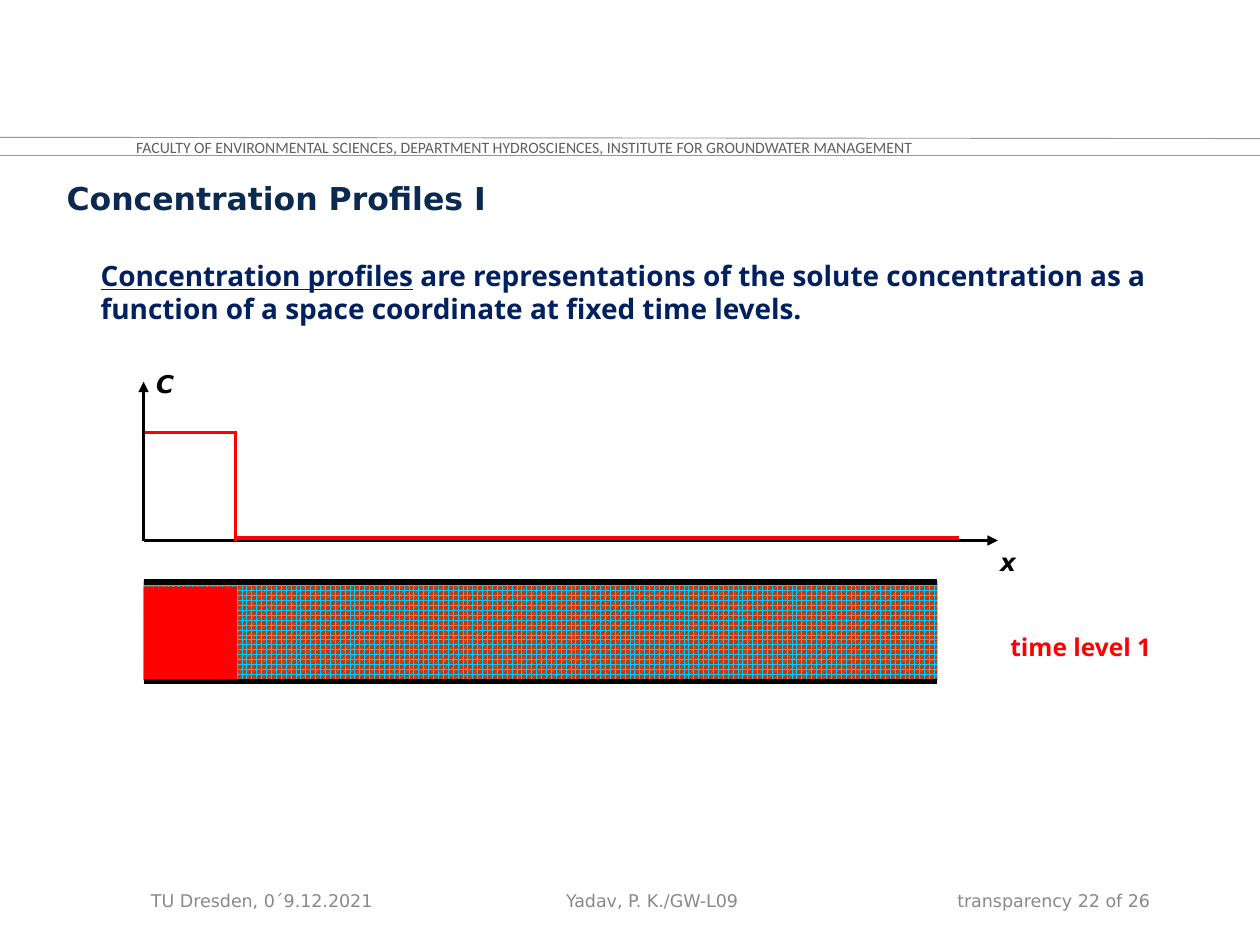
from lxml import etree
from pptx import Presentation
from pptx import util as u
from pptx.dml.color import RGBColor
from pptx.enum import dml, shapes, text
from pptx.oxml.ns import qn

BLACK = RGBColor(0, 0, 0)
RED = RGBColor(0xFF, 0, 0)
NAVY = RGBColor(0, 0x20, 0x60)
TITLE_BLUE = RGBColor(0x0B, 0x2A, 0x51)
RULE_GREY = RGBColor(0x96, 0x96, 0x96)
HEADER_GREY = RGBColor(0x60, 0x60, 0x60)
FOOTER_GREY = RGBColor(0x89, 0x89, 0x89)
CYAN = RGBColor(0, 0xCC, 0xFF)
RUST = RGBColor(0xCC, 0x33, 0)

SANS, BODY, HEADER_FONT = "DejaVu Sans", "Noto Sans", "Calibri"
LEFT, CENTER, RIGHT = text.PP_ALIGN.LEFT, text.PP_ALIGN.CENTER, text.PP_ALIGN.RIGHT
MIDDLE = text.MSO_ANCHOR.MIDDLE

WIDTH, HEIGHT = 10, 7.5
ORIGIN_X, AXIS_Y = 1.14, 4.29         # origin of the diagram
FRONT_X, COLUMN_END = 1.88, 7.44      # solute front, end of the soil column
COLUMN_TOP, COLUMN_BOTTOM = 4.62, 5.41
PEAK_Y, STEP_X = 3.43, 1.87           # concentration step

HEADER = ("FACULTY OF ENVIRONMENTAL SCIENCES, DEPARTMENT HYDROSCIENCES, "
          "INSTITUTE FOR GROUNDWATER MANAGEMENT")
TITLE = "Concentration Profiles I"
DEFINITION = [
    ("Concentration profiles", True),
    (" are representations of the solute concentration as a function of a "
     "space coordinate at fixed time levels.", False),
]
FOOTERS = [  # text, left, width, alignment
    ("TU Dresden, 0´9.12.2021", 1.1, 2.56, LEFT),
    ("Yadav, P. K./GW-L09", 3.59, 3.17, CENTER),
    ("transparency 22 of 26 ", 6.94, 2.33, RIGHT),
]
LABELS = [  # text, box, font, colour, italic
    ("time level 1", (7.92, 4.97, 1.33, 0.34), BODY, RED, False),
    ("x", (7.84, AXIS_Y, 0.33, 0.34), SANS, BLACK, True),
    ("C", (ORIGIN_X, 2.88, 0.34, 0.34), SANS, BLACK, True),
]
HEADER_RULES = [(0, 1.23, WIDTH, 1.23), (0, 1.09, WIDTH, 1.1)]
COLUMN_WALLS = [(ORIGIN_X, y, COLUMN_END, y) for y in (COLUMN_TOP, COLUMN_BOTTOM)]
AXES = [(ORIGIN_X, AXIS_Y, 7.92, AXIS_Y), (ORIGIN_X, AXIS_Y, ORIGIN_X, 3.03)]
PROFILE = [
    (1.15, PEAK_Y, FRONT_X, PEAK_Y),
    (STEP_X, PEAK_Y, STEP_X, AXIS_Y),
    (1.86, 4.27, 7.61, 4.27),
]


def inches(values):
    return [u.Inches(v) for v in values]


def add_text(s, runs, box, font, size, color, bold=False, italic=False, align=LEFT,
             anchor=text.MSO_ANCHOR.TOP, wrap=True, grow=False, before=0, after=0,
             insets=(0.1, 0.05, 0.1, 0.05)):
    """Add a text box; runs is a string or a list of (text, underlined)."""
    tf = s.shapes.add_textbox(*inches(box)).text_frame
    tf.word_wrap = wrap
    tf.auto_size = (text.MSO_AUTO_SIZE.SHAPE_TO_FIT_TEXT if grow
                    else text.MSO_AUTO_SIZE.NONE)
    tf.vertical_anchor = anchor
    tf.margin_left, tf.margin_top, tf.margin_right, tf.margin_bottom = inches(insets)
    p = tf.paragraphs[0]
    p.alignment = align
    p.space_before, p.space_after = u.Pt(before), u.Pt(after)
    for words, underlined in [(runs, False)] if isinstance(runs, str) else runs:
        r = p.add_run()
        r.text = words
        f = r.font
        f.name, f.size, f.bold, f.italic = font, u.Pt(size), bold, italic
        f.underline = underlined
        f.color.rgb = color


def add_lines(s, lines, color, width, arrow=False):
    for ends in lines:
        sp = s.shapes.add_connector(shapes.MSO_CONNECTOR.STRAIGHT, *inches(ends))
        sp.line.color.rgb = color
        sp.line.width = u.Pt(width)
        if arrow:
            ln = sp.line._get_or_add_ln()
            etree.SubElement(ln, qn("a:tailEnd"), type="triangle")
        etree.SubElement(sp._element.spPr, qn("a:effectLst"))


def add_rect(s, box):
    """Add a rectangle without outline or shadow and return its fill."""
    sp = s.shapes.add_shape(shapes.MSO_SHAPE.RECTANGLE, *inches(box))
    sp.shadow.inherit = False
    sp.line.fill.background()
    return sp.fill


def main():
    prs = Presentation()
    prs.slide_width, prs.slide_height = inches((WIDTH, HEIGHT))
    s = prs.slides.add_slide(prs.slide_layouts[6])

    add_lines(s, HEADER_RULES, RULE_GREY, 0.5)
    add_text(s, HEADER, (1.08, 1.11, 8.17, 0.17), HEADER_FONT, 9, HEADER_GREY,
             anchor=MIDDLE, before=5.6, insets=(0, 0, 0.1, 0.05))
    for words, left, width, align in FOOTERS:
        add_text(s, words, (left, 6.95, width, 0.4), SANS, 10, FOOTER_GREY,
                 align=align, anchor=MIDDLE)
    add_text(s, TITLE, (0.43, 1.37, 6.93, 0.33), SANS, 18, TITLE_BLUE,
             bold=True, before=4)
    add_text(s, DEFINITION, (0.7, 2, 8.6, 0.64), BODY, 16, NAVY,
             bold=True, grow=True, after=6)

    soil = add_rect(s, (ORIGIN_X, 4.61, COLUMN_END - ORIGIN_X, 0.79))
    soil.patterned()
    soil.pattern = dml.MSO_PATTERN.SPHERE
    soil.fore_color.rgb, soil.back_color.rgb = CYAN, RUST
    solute = add_rect(s, (ORIGIN_X, 4.66, FRONT_X - ORIGIN_X, 0.74))
    solute.solid()
    solute.fore_color.rgb = RED

    add_lines(s, COLUMN_WALLS, BLACK, 3)
    add_lines(s, AXES, BLACK, 1.5, arrow=True)
    for words, box, font, color, italic in LABELS:
        add_text(s, words, box, font, 14, color, bold=True, italic=italic,
                 wrap=False, grow=True)
    add_lines(s, PROFILE, RED, 1.75)

    prs.save("out.pptx")


if __name__ == "__main__":
    main()
